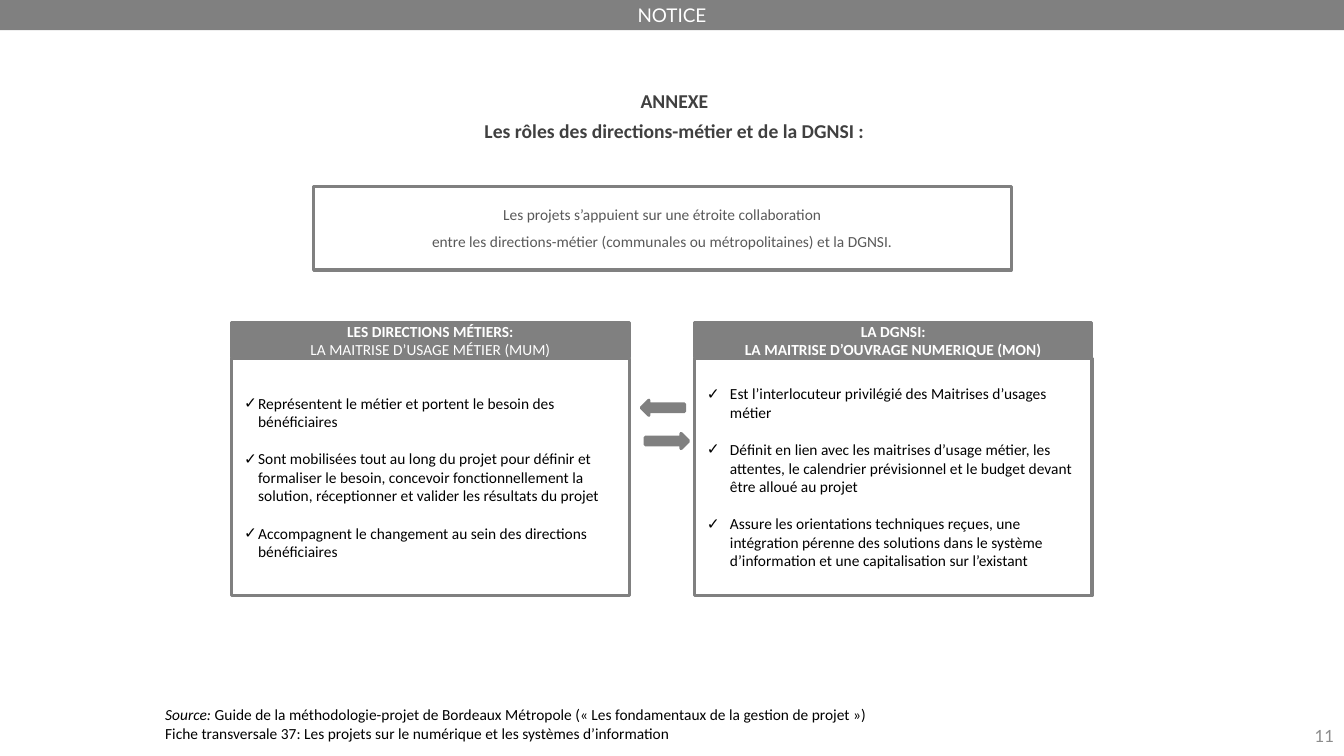
from pptx import Presentation
from pptx.dml.color import RGBColor
from pptx.enum import shapes as sh, text as tx
from pptx.oxml.ns import qn
from pptx.util import Inches, Pt
from lxml import etree

GRAY = RGBColor(0x80, 0x80, 0x80)
WHITE = RGBColor(0xFF, 0xFF, 0xFF)
BLACK = RGBColor(0, 0, 0)
DARK = RGBColor(0x40, 0x40, 0x40)
MID = RGBColor(0x59, 0x59, 0x59)
PALE = RGBColor(0x8C, 0x8C, 0x8C)
LEFT, CENTER, RIGHT = tx.PP_ALIGN.LEFT, tx.PP_ALIGN.CENTER, tx.PP_ALIGN.RIGHT
TOP, MIDDLE = tx.MSO_ANCHOR.TOP, tx.MSO_ANCHOR.MIDDLE
RECT, ARROW = sh.MSO_SHAPE.RECTANGLE, sh.MSO_SHAPE.DOWN_ARROW
WIDE = 3.94

ROLES = [
    (2.3, 0.14, [("LES DIRECTIONS MÉTIERS:", True),
                 ("LA MAITRISE D’USAGE MÉTIER (MUM)", False)],
     ["Représentent le métier et portent le besoin des bénéficiaires",
      "Sont mobilisées tout au long du projet pour définir et formaliser le "
      "besoin, concevoir fonctionnellement la solution, réceptionner et "
      "valider les résultats du projet",
      "Accompagnent le changement au sein des directions bénéficiaires"]),
    (6.89, 0.23, [("LA DGNSI:", True),
                  ("LA MAITRISE D’OUVRAGE NUMERIQUE (MON)", True)],
     ["Est l’interlocuteur privilégié des Maitrises d’usages métier",
      "Définit en lien avec les maitrises d’usage métier, les attentes, le "
      "calendrier prévisionnel et le budget devant être alloué au projet",
      "Assure les orientations techniques reçues, une intégration pérenne des "
      "solutions dans le système d’information et une capitalisation sur "
      "l’existant"]),
]


def place(shape, x, y, w, h):
    """Move and size a shape, in inches."""
    shape.left, shape.top = Inches(x), Inches(y)
    shape.width, shape.height = Inches(w), Inches(h)


def paint(shape, fill, line=GRAY):
    """Fill a shape and outline it."""
    shape.fill.solid()
    shape.fill.fore_color.rgb = fill
    if line is None:
        shape.line.fill.background()
    else:
        shape.line.color.rgb = line
        shape.line.width = Pt(2.25)


def block(slide, kind, box, fill, line=GRAY):
    """Add a flat preset shape."""
    shape = slide.shapes.add_shape(kind, *map(Inches, box))
    shape.shadow.inherit = False
    paint(shape, fill, line)
    return shape


def label(slide, *box):
    """Add an empty text box."""
    return slide.shapes.add_textbox(*map(Inches, box))


def check(para, indent):
    """Give a paragraph a check mark bullet."""
    props = para._p.get_or_add_pPr()
    props.set("marL", str(Inches(indent)))
    props.set("indent", str(-Inches(indent)))
    etree.SubElement(props, qn("a:buChar")).set("char", "✓")


def write(shape, lines, size, color, align=LEFT, anchor=TOP, face="Calibri",
          bold=False, gap=0, after=0, space=None, indent=None):
    """Write paragraphs, each a text or a (text, bold) pair."""
    frame = shape.text_frame
    frame.word_wrap = True
    frame.auto_size = tx.MSO_AUTO_SIZE.NONE
    frame.vertical_anchor = anchor
    for i, line in enumerate(lines):
        words, heavy = (line, bold) if isinstance(line, str) else line
        para = frame.paragraphs[0] if i == 0 else frame.add_paragraph()
        if indent:
            check(para, indent)
        para.text = words
        para.alignment = align
        para.space_before = Pt(gap if i else 0)
        para.space_after = Pt(after)
        if space:
            para.line_spacing = space
        font = para.font
        font.name, font.size, font.bold = face, Pt(size), heavy
        font.color.rgb = color
    return frame


def inset(frame, left, top, right, bottom):
    """Set the margins of a text frame, in inches."""
    frame.margin_left, frame.margin_top = Inches(left), Inches(top)
    frame.margin_right, frame.margin_bottom = Inches(right), Inches(bottom)


def role(slide, body, x, indent, head, items):
    """Draw a header with its list of duties below."""
    bar = block(slide, RECT, (x, 3.2, WIDE, 0.35), GRAY)
    write(bar, head, 11, WHITE, CENTER, MIDDLE)
    body.element.addprevious(bar.element)
    place(body, x, 3.56, WIDE, 2.35)
    paint(body, WHITE)
    frame = write(body, items, 11, BLACK, anchor=MIDDLE, gap=13.4,
                  indent=indent)
    inset(frame, 0.12, 0.09, 0.12, 0.09)


def main():
    """Build the slide and save it."""
    deck = Presentation()
    deck.slide_width, deck.slide_height = Inches(13.33), Inches(7.5)
    slide = deck.slides.add_slide(deck.slide_layouts[3])
    title, *bodies = [p for p in slide.placeholders
                      if p.placeholder_format.idx < 3]

    band = block(slide, RECT, (0, 0, 13.33, 0.3), GRAY, None)
    write(band, ["NOTICE"], 13.5, WHITE, CENTER, MIDDLE, "Lato")
    page = label(slide, 10.33, 7.1, 3, 0.4)
    write(page, ["11"], 12, PALE, RIGHT, MIDDLE, "Lato")

    place(title, 3.09, 0.83, 7.2, 0.64)
    write(title, ["ANNEXE", "Les rôles des directions-métier et de la DGNSI :"],
          14, DARK, CENTER, bold=True, after=4.5)

    intro = block(slide, RECT, (3.11, 1.85, 6.92, 0.83), WHITE)
    frame = write(intro, [
        "Les projets s’appuient sur une étroite collaboration",
        "entre les directions-métier (communales ou métropolitaines) "
        "et la DGNSI."], 11, MID, CENTER, space=1.5)
    inset(frame, 0.09, 0.09, 0.09, 0.12)

    for body, part in zip(bodies, ROLES):
        role(slide, body, *part)
    for x, y, turn in ((6.5, 3.83, 90), (6.54, 4.16, 270)):
        block(slide, ARROW, (x, y, 0.15, 0.43), GRAY).rotation = turn

    source = label(slide, 1.54, 6.95, 7.6, 0.47)
    frame = write(source, [
        "Source: ",
        "Fiche transversale 37: Les projets sur le numérique et les systèmes "
        "d’information"], 11, BLACK)
    first = frame.paragraphs[0]
    first.runs[0].font.italic = True
    first.add_run().text = ("Guide de la méthodologie-projet de Bordeaux "
                            "Métropole (« Les fondamentaux de la gestion de "
                            "projet »)")
    deck.save("out.pptx")


if __name__ == "__main__":
    main()
